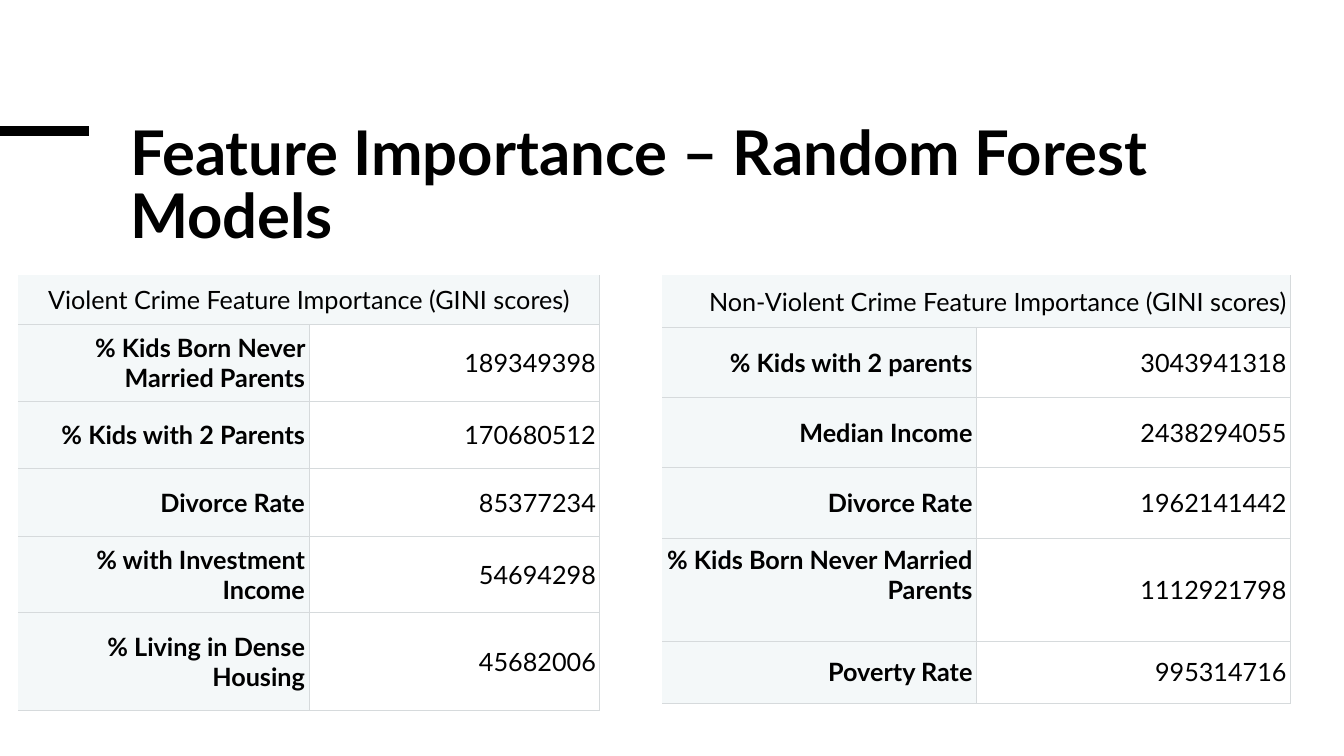
import pptx
import pptx.util
import pptx.dml.color
import pptx.enum.shapes
import pptx.enum.text
import pptx.oxml.ns
from lxml import etree

PX = 9144  # 100 px to the inch
FONT = "Lato"
INK, RULE, TINT, WHITE = "000000", "D6DADC", "F4F8F9", "FFFFFF"
ALIGN = pptx.enum.text.PP_ALIGN
ANCHOR = pptx.enum.text.MSO_ANCHOR

VIOLENT = [
    ("% Kids Born Never Married Parents", "189349398"),
    ("% Kids with 2 Parents", "170680512"),
    ("Divorce Rate", "85377234"),
    ("% with Investment Income", "54694298"),
    ("% Living in Dense Housing", "45682006"),
]
NON_VIOLENT = [
    ("% Kids with 2 parents", "3043941318"),
    ("Median Income", "2438294055"),
    ("Divorce Rate", "1962141442"),
    ("% Kids Born Never Married Parents", "1112921798"),
    ("Poverty Rate", "995314716"),
]


def px(n):
    return pptx.util.Emu(n * PX)


def color(hex_):
    return pptx.dml.color.RGBColor.from_string(hex_)


def add_text(p, text, size, bold, align):
    p.alignment = align
    r = p.add_run()
    r.text = text
    r.font.name = FONT
    r.font.size = pptx.util.Pt(size)
    r.font.bold = bold
    r.font.color.rgb = color(INK)


def set_borders(cell, sides):
    qn = pptx.oxml.ns.qn
    tcPr = cell._tc.get_or_add_tcPr()
    for side in "LRTB":
        ln = etree.SubElement(tcPr, qn("a:ln" + side), w=str(pptx.util.Pt(0.6)))
        if side in sides:
            fill = etree.SubElement(ln, qn("a:solidFill"))
            etree.SubElement(fill, qn("a:srgbClr"), val=RULE)
        else:
            etree.SubElement(ln, qn("a:noFill"))


def style_cell(cell, fill, sides):
    set_borders(cell, sides)
    cell.fill.solid()
    cell.fill.fore_color.rgb = color(fill)
    cell.vertical_anchor = ANCHOR.MIDDLE
    cell.margin_left = cell.margin_right = px(4)
    cell.margin_top = cell.margin_bottom = px(3)


def add_heading(s, x, y, w, h, text):
    # Accent bar running in from the slide's left edge
    bar = s.shapes.add_connector(pptx.enum.shapes.MSO_CONNECTOR.STRAIGHT,
                                 0, px(y + 11), px(x - 31), px(y + 11))
    bar.line.color.rgb = color(INK)
    bar.line.width = pptx.util.Pt(6.75)
    etree.SubElement(bar._element.spPr, pptx.oxml.ns.qn("a:effectLst"))
    # Title
    title = s.shapes.title
    title.left, title.top, title.width, title.height = map(px, (x, y, w, h))
    tf = title.text_frame
    tf.word_wrap = True
    tf.auto_size = pptx.enum.text.MSO_AUTO_SIZE.NONE
    tf.vertical_anchor = ANCHOR.TOP
    p = tf.paragraphs[0]
    p.line_spacing = 0.85
    add_text(p, text, 44, True, ALIGN.LEFT)


def add_scores(s, x, y, w, heights, header, header_align, scores):
    table = s.shapes.add_table(len(heights), 2, px(x), px(y), px(w), px(sum(heights))).table
    table.first_row = table.horz_banding = False
    for row, height in zip(table.rows, heights):
        row.height = px(height)
    # Header across both columns
    for col in range(2):
        style_cell(table.cell(0, col), TINT, "RB")
    head = table.cell(0, 0)
    head.merge(table.cell(0, 1))
    add_text(head.text_frame.paragraphs[0], header, 18, False, header_align)
    # Feature names and their scores
    for i, (feature, score) in enumerate(scores, 1):
        label, value = table.cell(i, 0), table.cell(i, 1)
        style_cell(label, TINT, "RTB")
        style_cell(value, WHITE, "LRTB")
        add_text(label.text_frame.paragraphs[0], feature, 18, True, ALIGN.RIGHT)
        add_text(value.text_frame.paragraphs[0], score, 18, False, ALIGN.RIGHT)
    return table


def main():
    prs = pptx.Presentation()
    prs.slide_width, prs.slide_height = px(1333), px(750)
    s = prs.slides.add_slide(prs.slide_layouts[5])
    s.background.fill.solid()
    s.background.fill.fore_color.rgb = color(WHITE)

    add_heading(s, 119, 119, 1085, 142, "Feature Importance – Random Forest Models")
    add_scores(s, 18, 273, 577, [49, 76, 67, 67, 76, 97],
               "Violent Crime Feature Importance (GINI scores)", ALIGN.CENTER, VIOLENT)
    non_violent = add_scores(s, 657, 273, 623, [52, 69, 70, 70, 102, 62],
                             "Non-Violent Crime Feature Importance (GINI scores)",
                             ALIGN.RIGHT, NON_VIOLENT)
    # The tall row keeps one free line below its label
    non_violent.cell(4, 0).margin_bottom = px(33)
    prs.save("out.pptx")


if __name__ == "__main__":
    main()
